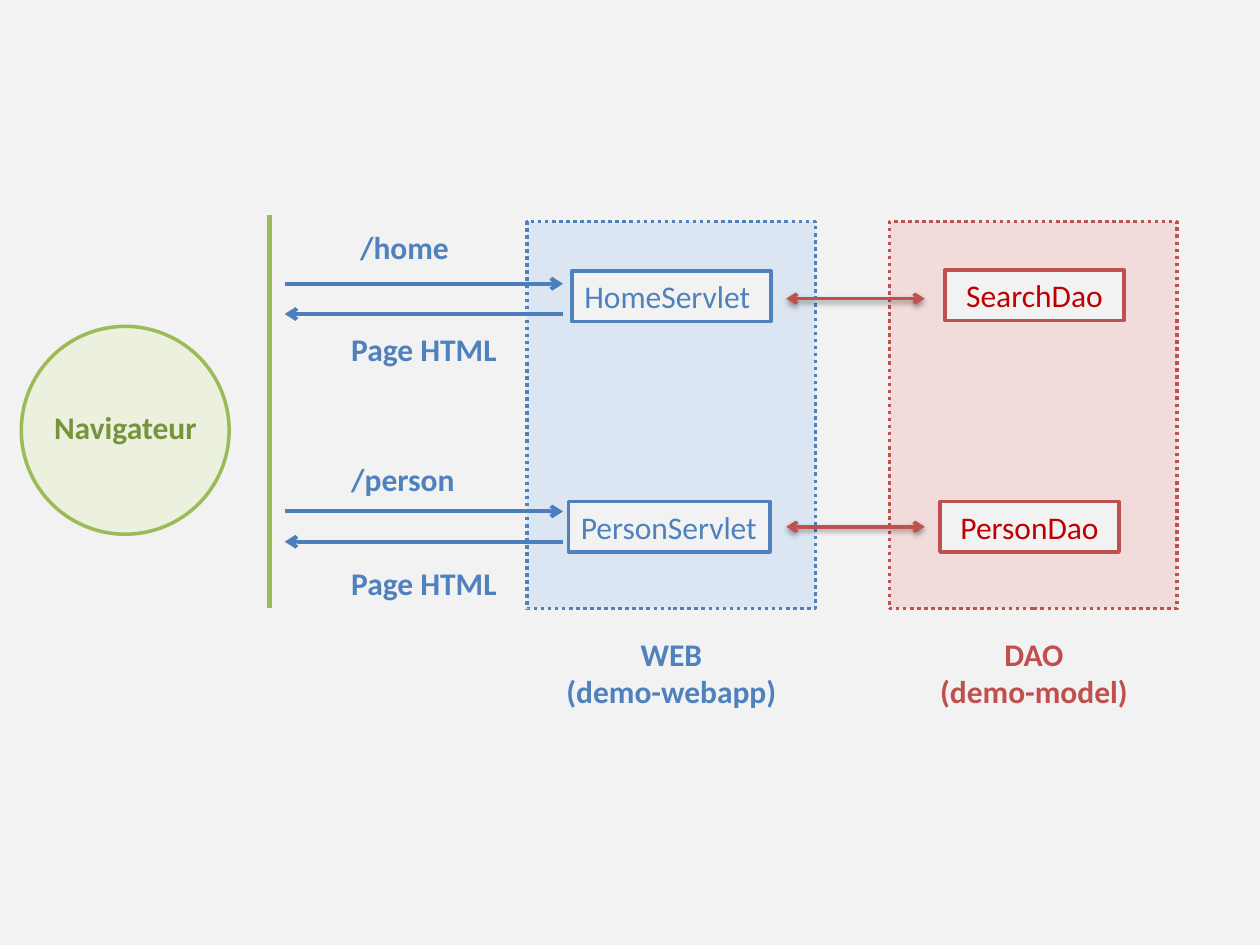
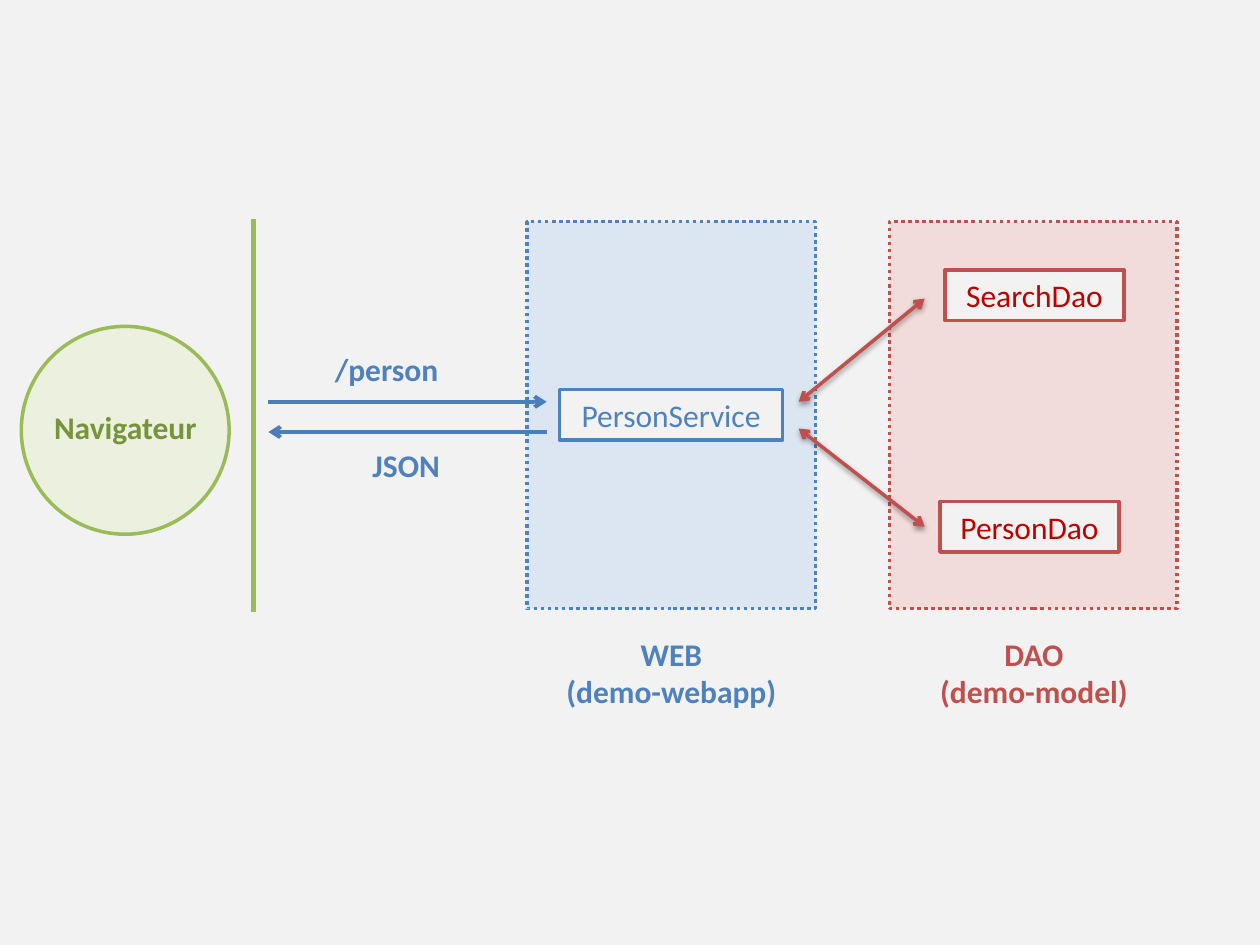
from dataclasses import dataclass

import pptx
import pptx.dml.color
import pptx.enum.dml
import pptx.enum.shapes
import pptx.enum.text
import pptx.oxml
import pptx.oxml.ns
import pptx.util
from pptx.util import Cm


@dataclass(frozen=True)
class Theme:
    page: str = "F2F2F2"
    green: str = "9BBB59"
    green_pale: str = "EBF1DE"
    green_ink: str = "77933C"
    blue: str = "4F81BD"
    blue_pale: str = "DCE6F2"
    blue_arrow: str = "4B7EBC"
    red: str = "C0504D"
    red_pale: str = "F2DCDB"
    red_ink: str = "C00000"
    font: str = "Calibri"
    text_size: float = 18
    outline: float = 2
    arrow: float = 2.25
    border: float = 3


theme = Theme()
rgb = pptx.dml.color.RGBColor.from_string
preset = pptx.enum.shapes.MSO_SHAPE
LEFT = pptx.enum.text.PP_ALIGN.LEFT
CENTER = pptx.enum.text.PP_ALIGN.CENTER
ROW = 1.02


def put(slide, at, lines=(), ink=None, fill=None, edge=None, geometry=preset.RECTANGLE,
        dotted=False, bold=False, align=CENTER, wrap=True):
    place = [Cm(length) for length in at]
    if fill:
        part = slide.shapes.add_shape(geometry, *place)
        part.shadow.inherit = False
        part.fill.solid()
        part.fill.fore_color.rgb = rgb(fill)
        part.line.color.rgb = rgb(edge)
        part.line.width = pptx.util.Pt(theme.outline)
        if dotted:
            part.line.dash_style = pptx.enum.dml.MSO_LINE.ROUND_DOT
    else:
        part = slide.shapes.add_textbox(*place)
    if not lines:
        return
    frame = part.text_frame
    frame.word_wrap = wrap
    frame.auto_size = pptx.enum.text.MSO_AUTO_SIZE.SHAPE_TO_FIT_TEXT
    frame.vertical_anchor = pptx.enum.text.MSO_ANCHOR.TOP
    for index, line in enumerate(lines):
        paragraph = frame.add_paragraph() if index else frame.paragraphs[0]
        paragraph.alignment = align
        run = paragraph.add_run()
        run.text = line
        run.font.name = theme.font
        run.font.size = pptx.util.Pt(theme.text_size)
        run.font.bold = bold
        run.font.color.rgb = rgb(ink)


def link(slide, start, end, color, width, ends=(), shadow=False):
    connector = slide.shapes.add_connector(
        pptx.enum.shapes.MSO_CONNECTOR.STRAIGHT, *[Cm(v) for v in (*start, *end)])
    connector.line.color.rgb = rgb(color)
    connector.line.width = pptx.util.Pt(width)
    outline = connector.line._get_or_add_ln()
    for end_name in ends:
        outline.append(pptx.oxml.parse_xml(
            f'<a:{end_name} {pptx.oxml.ns.nsdecls("a")} type="arrow"/>'))
    blur = ('<a:outerShdw blurRad="40000" dist="20000" dir="5400000" rotWithShape="0">'
            '<a:srgbClr val="000000"><a:alpha val="38000"/></a:srgbClr></a:outerShdw>')
    outline.addnext(pptx.oxml.parse_xml(
        f'<a:effectLst {pptx.oxml.ns.nsdecls("a")}>{blur if shadow else ""}</a:effectLst>'))


diagrams = [
    {
        "border": (5.44, 4.34),
        "exchange_left": 5.74,
        "exchange_tops": [5.72, 10.31],
        "messages": [("/home", 7.01, 4.47, 2.31), ("Page HTML", 6.83, 6.53, 3.48),
                     ("/person", 6.83, 9.14, 2.62), ("Page HTML", 6.83, 11.25, 3.48)],
        "endpoints": [("HomeServlet", 11.53, 5.46, 4.01, LEFT),
                      ("PersonServlet", 11.46, 10.11, 4.06, LEFT)],
        "dao_calls": [((15.85, 10.62), (18.64, 10.62)), ((15.85, 6.02), (18.64, 6.02))],
    },
    {
        "border": (5.11, 4.42),
        "exchange_left": 5.41,
        "exchange_tops": [8.1],
        "messages": [("/person", 6.5, 6.93, 2.62), ("JSON", 7.26, 8.86, 1.88)],
        "endpoints": [("PersonService", 11.28, 7.85, 4.5, CENTER)],
        "dao_calls": [((16.1, 8.64), (18.64, 10.62)), ((16.1, 8.1), (18.64, 6.02))],
    },
]
layers = [
    ((10.62, 4.47, 5.82, 7.8), theme.blue_pale, theme.blue,
     (10.92, 12.67, 5.23, 1.8), ("WEB", "(demo-webapp)")),
    ((17.93, 4.47, 5.8, 7.8), theme.red_pale, theme.red,
     (18.42, 12.67, 4.85, 1.8), ("DAO", "(demo-model)")),
]
daos = [("SearchDao", 19.05, 5.44), ("PersonDao", 18.95, 10.11)]
border_length = 7.92
exchange_length = 5.61
reply_offset = 0.61

deck = pptx.Presentation()
deck.slide_width, deck.slide_height = Cm(25.4), Cm(19.05)
page_fill = deck.slide_master.background.fill
page_fill.solid()
page_fill.fore_color.rgb = rgb(theme.page)

for diagram in diagrams:
    slide = deck.slides.add_slide(deck.slide_layouts[6])

    put(slide, (0.43, 6.58, 4.19, 4.19), fill=theme.green_pale, edge=theme.green,
        geometry=preset.OVAL)
    put(slide, (0.84, 8.1, 3.4, ROW), ["Navigateur"], theme.green_ink,
        bold=True, align=LEFT, wrap=False)

    for area, pale, strong, caption_area, caption in layers:
        put(slide, area, fill=pale, edge=strong, dotted=True)
        put(slide, caption_area, caption, strong, bold=True)

    for dao, left, top in daos:
        put(slide, (left, top, 3.61, ROW), [dao], theme.red_ink, theme.page, theme.red)
    for endpoint, left, top, width, align in diagram["endpoints"]:
        put(slide, (left, top, width, ROW), [endpoint], theme.blue, theme.page, theme.blue,
            align=align)

    left = diagram["exchange_left"]
    right = left + exchange_length
    for top in diagram["exchange_tops"]:
        reply = top + reply_offset
        link(slide, (left, top), (right, top), theme.blue_arrow, theme.arrow, ["tailEnd"])
        link(slide, (right, reply), (left, reply), theme.blue_arrow, theme.arrow, ["tailEnd"])
    for message, left, top, width in diagram["messages"]:
        put(slide, (left, top, width, ROW), [message], theme.blue,
            bold=True, align=LEFT, wrap=False)

    for start, end in diagram["dao_calls"]:
        link(slide, start, end, theme.red, theme.outline, ["headEnd", "tailEnd"], shadow=True)

    x, top = diagram["border"]
    link(slide, (x, top), (x, top + border_length), theme.green, theme.border)

deck.save("out.pptx")
